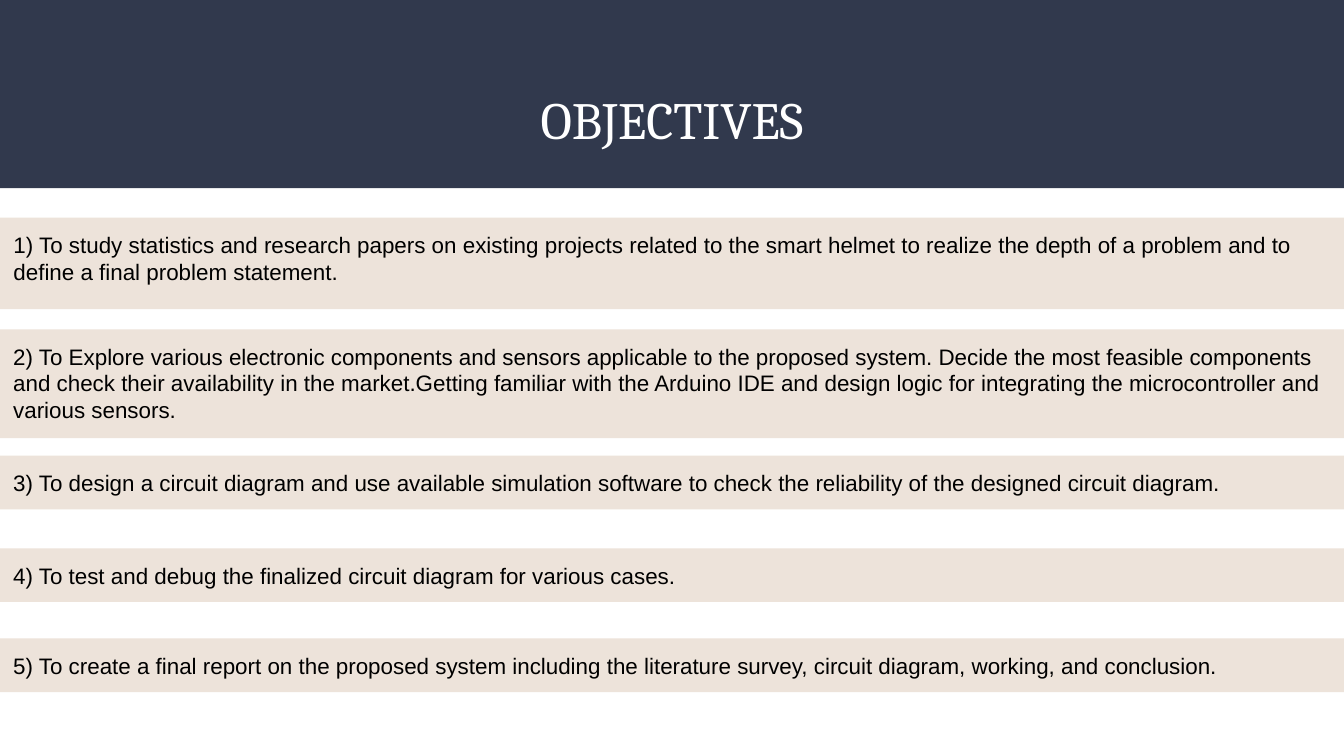
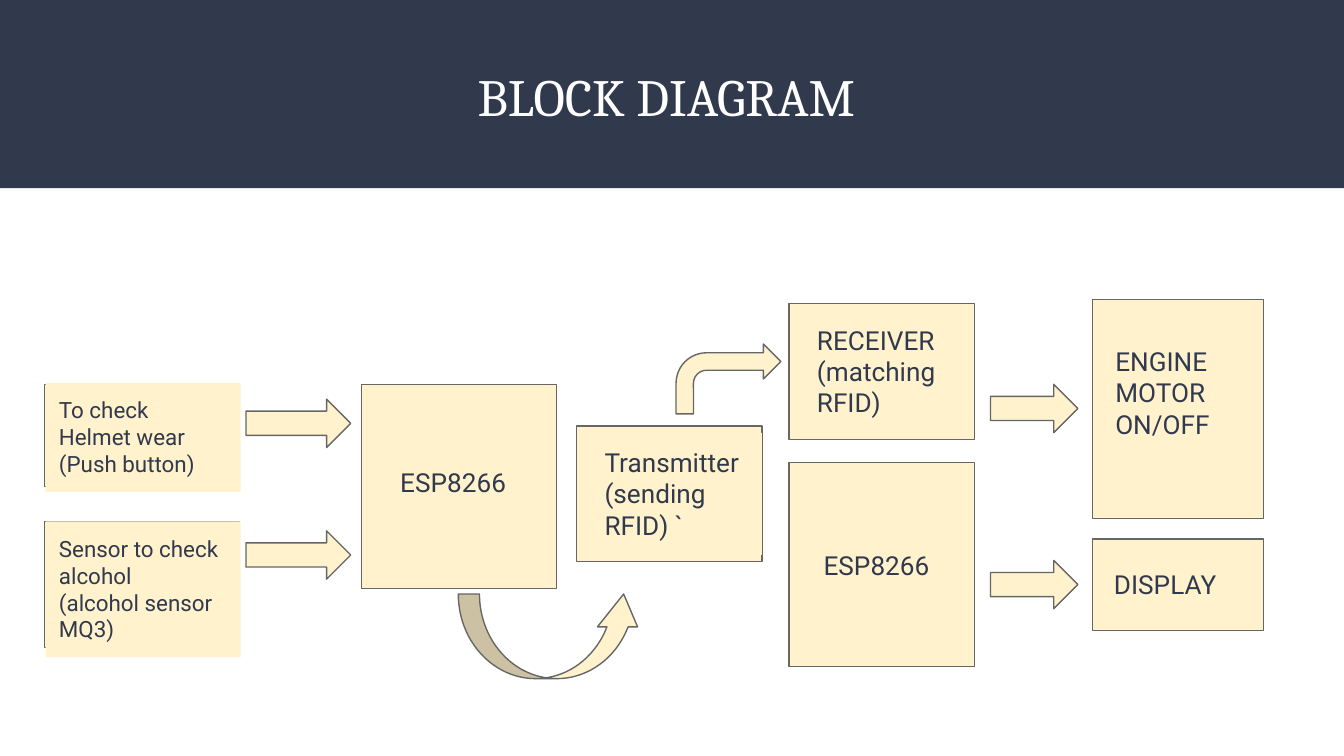
from dataclasses import dataclass

import pptx
import pptx.dml.color
import pptx.enum.shapes
import pptx.enum.text
import pptx.oxml
import pptx.util

Kind = pptx.enum.shapes.MSO_SHAPE
Anchor = pptx.enum.text.MSO_ANCHOR
Align = pptx.enum.text.PP_ALIGN

# Grid of square cells, 100 columns by 56.25 rows
WIDE, HIGH = 100, 56.25
CELL = pptx.util.Inches(10) / WIDE

NAVY, SAND, CREAM, GREY = "31394D", "EDE3DA", "FFF2CC", "666666"
WHITE, BLACK = "FFFFFF", "000000"


@dataclass(frozen=True)
class Box:
    """Left, top, width and height in grid cells."""
    x: float
    y: float
    w: float
    h: float

    def size(self) -> tuple[int, ...]:
        return tuple(round(n * CELL) for n in (self.x, self.y, self.w, self.h))


@dataclass(frozen=True)
class Font:
    name: str
    size: int
    tint: str


@dataclass(frozen=True)
class Node:
    """Outlined block with a filled label on it."""
    frame: Box
    label: Box
    lines: tuple[str, ...]
    size: int = 14


@dataclass(frozen=True)
class Arrow:
    kind: Kind
    box: Box
    bends: tuple[float, ...] = ()


HEAD = Font("Cambria", 28, WHITE)
BODY = Font("Arial", 12, BLACK)

GOALS = (
    (Box(0, 16.2, WIDE, 6.8),
     "1) To study statistics and research papers on existing projects related to the "
     "smart helmet to realize the depth of a problem and to define a final problem "
     "statement."),
    (Box(0, 24.5, WIDE, 8.1),
     "2) To Explore various electronic components and sensors applicable to the proposed "
     "system. Decide the most feasible components and check their availability in the "
     "market.Getting familiar with the Arduino IDE and design logic for integrating the "
     "microcontroller and various sensors."),
    (Box(0, 33.9, 100.6, 4),
     "3) To design a circuit diagram and use available simulation software to check the "
     "reliability of the designed circuit diagram."),
    (Box(0, 40.8, WIDE, 4),
     "4) To test and debug the finalized circuit diagram for various cases."),
    (Box(0, 47.5, WIDE, 4),
     "5) To create a final report on the proposed system including the literature survey, "
     "circuit diagram, working, and conclusion."),
)

NODES = (
    Node(Box(3.3, 28.6, 14.5, 7.6), Box(3.4, 28.5, 14.5, 8.1),
         ("To check", "Helmet wear", "(Push button)"), 12),
    Node(Box(3.3, 38.8, 14.5, 9.4), Box(3.4, 38.8, 14.5, 10.1),
         ("Sensor to check", "alcohol", "(alcohol sensor MQ3)"), 12),
    Node(Box(26.9, 28.6, 14.5, 15.2), Box(28.8, 33.7, 11.4, 4.4), ("ESP8266",)),
    Node(Box(42.9, 31.7, 13.8, 10.1), Box(44, 32.2, 12.7, 9.1),
         ("Transmitter", "(sending RFID) `")),
    Node(Box(58.7, 22.6, 13.8, 10.1), Box(59.8, 23.1, 11.4, 9.1),
         ("RECEIVER", "(matching RFID)")),
    Node(Box(58.7, 34.4, 13.8, 15.2), Box(60.3, 39.9, 11.4, 4.4), ("ESP8266",)),
    Node(Box(81.3, 22.3, 12.7, 16.3), Box(82, 24.7, 11.4, 9.1),
         ("ENGINE", "MOTOR", "ON/OFF")),
    Node(Box(81.3, 40.1, 12.7, 6.8), Box(81.9, 41.3, 11.4, 4.4), ("DISPLAY",)),
)

ARROWS = (
    *(Arrow(Kind.RIGHT_ARROW, Box(18.3, y, 7.8, 3.6)) for y in (29.7, 39.5)),
    *(Arrow(Kind.RIGHT_ARROW, Box(73.7, y, 6.5, 3.6)) for y in (28.6, 41.7)),
    Arrow(Kind.CURVED_UP_ARROW, Box(34.1, 44.2, 13.8, 6.3), (0.25, 0.475, 0.389)),
    Arrow(Kind.BENT_ARROW, Box(50.3, 25.6, 7.8, 5.2)),
)


def paint(part, tint: str) -> None:
    """Give a fill or a font a solid colour."""
    part.solid()
    part.fore_color.rgb = pptx.dml.color.RGBColor.from_string(tint)


def place(shape, box: Box) -> None:
    shape.left, shape.top, shape.width, shape.height = box.size()


def draw(slide, kind: Kind, box: Box, fill: str, line: str = ""):
    shape = slide.shapes.add_shape(kind, *box.size())
    shape.shadow.inherit = False
    paint(shape.fill, fill)
    if line:
        paint(shape.line.fill, line)
        shape.line.width = pptx.util.Pt(0.75)
    else:
        shape.line.fill.background()
    return shape


def write(shape, lines: tuple[str, ...], font: Font,
          align: Align = Align.LEFT, anchor: Anchor = Anchor.TOP) -> None:
    frame = shape.text_frame
    frame.word_wrap = True
    frame.auto_size = pptx.enum.text.MSO_AUTO_SIZE.NONE
    frame.vertical_anchor = anchor
    edge = round(CELL)
    frame.margin_left = frame.margin_right = edge
    frame.margin_top = frame.margin_bottom = edge
    for i, line in enumerate(lines):
        para = frame.add_paragraph() if i else frame.paragraphs[0]
        para.alignment = align
        para.space_before = pptx.util.Pt(0)
        run = para.add_run()
        run.text = line
        run.font.name = font.name
        run.font.size = pptx.util.Pt(font.size)
        paint(run.font.fill, font.tint)


def strip(para) -> None:
    """Take the bullet and its indent off a list paragraph."""
    props = para._p.get_or_add_pPr()
    props.set("marL", "0")
    props.set("indent", "0")
    props.append(pptx.oxml.parse_xml(
        '<a:buNone xmlns:a="http://schemas.openxmlformats.org/drawingml/2006/main"/>'))


def start(deck, layout: int, title: str, top: float):
    slide = deck.slides.add_slide(deck.slide_layouts[layout])
    place(slide.shapes.title, Box(3.4, top, 93.2, 6.8))
    write(slide.shapes.title, (title,), HEAD, Align.CENTER, Anchor.MIDDLE)
    return slide


def share(deck, slide) -> None:
    """Put the header band on the master, behind everything."""
    band = draw(slide, Kind.RECTANGLE, Box(0, 0, WIDE, 14), NAVY)
    deck.slide_master.element.cSld.spTree.insert(2, band.element)


def goals(deck) -> None:
    slide = start(deck, 1, "OBJECTIVES", 5.45)
    share(deck, slide)
    for i, (box, text) in enumerate(GOALS):
        if i:
            shape = draw(slide, Kind.RECTANGLE, box, SAND)
        else:
            shape = slide.placeholders[1]
            place(shape, box)
            paint(shape.fill, SAND)
        write(shape, (text,), BODY)
        if not i:
            strip(shape.text_frame.paragraphs[0])


def blocks(deck) -> None:
    slide = start(deck, 5, "BLOCK DIAGRAM ", 3.75)
    for node in NODES:
        draw(slide, Kind.RECTANGLE, node.frame, CREAM, GREY)
        label = draw(slide, Kind.RECTANGLE, node.label, CREAM)
        write(label, node.lines, Font("Roboto", node.size, NAVY))
    for arrow in ARROWS:
        shape = draw(slide, arrow.kind, arrow.box, CREAM, GREY)
        for i, bend in enumerate(arrow.bends):
            shape.adjustments[i] = bend


def main() -> None:
    deck = pptx.Presentation()
    deck.slide_width = round(WIDE * CELL)
    deck.slide_height = round(HIGH * CELL)
    goals(deck)
    blocks(deck)
    deck.save("out.pptx")


if __name__ == "__main__":
    main()
